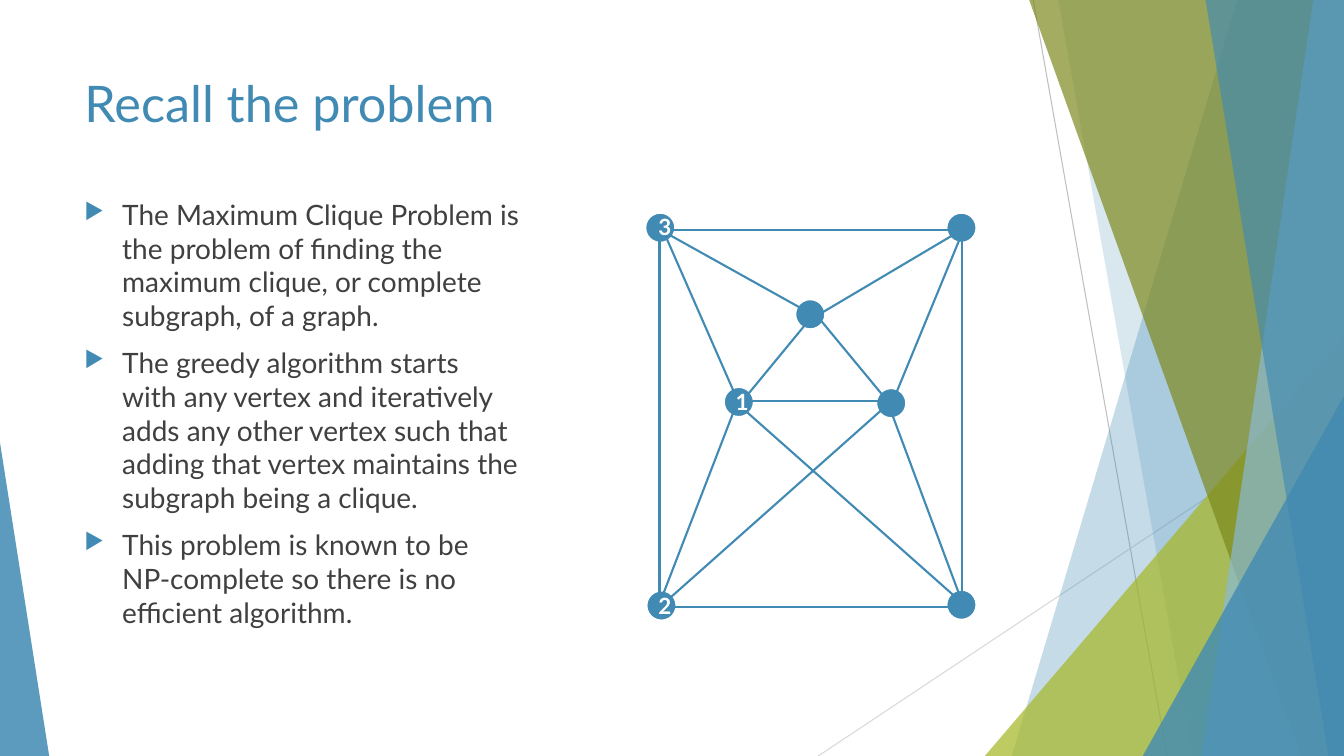
from dataclasses import dataclass

from lxml import etree
from pptx import Presentation
from pptx import util as u
from pptx.dml.color import RGBColor
from pptx.enum import shapes, text
from pptx.oxml import ns

Cm, Pt = u.Cm, u.Pt
COLORS = {
    "blue": "418AB3", "pale_blue": "8ABAD4", "lime": "A6B727", "olive": "7D891D",
    "white": "FFFFFF", "label": "FEFEFE", "body": "404040",
    "dark_rule": "BFBFBF", "light_rule": "D9D9D9",
}


@dataclass
class Box:
    left: float
    top: float
    width: float
    height: float

    def point(self, x, y):
        return Cm(self.left + x), Cm(self.top + y)


def rgb(name):
    return RGBColor.from_string(COLORS[name])


def apply_format(target, values):
    for name, value in values.items():
        setattr(target, name, value)


def add_xml(parent, tag, position=None, **attributes):
    element = etree.Element(ns.qn(tag), attributes)
    parent.insert(len(parent) if position is None else position, element)
    return element


def add_line(slide, box, start, end, color, width):
    line = slide.shapes.add_connector(
        shapes.MSO_CONNECTOR.STRAIGHT, *box.point(*start), *box.point(*end))
    line.line.color.rgb = rgb(color)
    line.line.width = Pt(width)
    add_xml(line._element.spPr, "a:effectLst")


def fill_shape(shape, color, opacity=100):
    shape.shadow.inherit = False
    shape.fill.solid()
    shape.fill.fore_color.rgb = rgb(color)
    shape.line.fill.background()
    if opacity < 100:
        color_element = shape._element.spPr.find(".//" + ns.qn("a:srgbClr"))
        add_xml(color_element, "a:alpha", val=str(opacity * 1000))


def add_text_box(slide, box, paragraphs, font_format, paragraph_format):
    shape = slide.shapes.add_textbox(
        *box.point(0, 0), Cm(box.width), Cm(box.height))
    frame = shape.text_frame
    frame.word_wrap = True
    frame.text = "\n".join(paragraphs)
    color = font_format.pop("color")
    for paragraph in frame.paragraphs:
        apply_format(paragraph, paragraph_format)
        for run in paragraph.runs:
            apply_format(run.font, {"name": "Lato", **font_format})
            run.font.color.rgb = rgb(color)
    return frame


# Faceted background
def add_facets(slide, box):
    add_line(slide, box, (26.04, 0), (29.41, box.height), "dark_rule", 0.75)
    add_line(slide, box, (box.width, 10.24), (20.62, box.height), "light_rule", 0.75)

    def band(top_x, bottom_x, color, opacity):
        # Slanted left side, closed by the right edge of the box
        builder = slide.shapes.build_freeform(*box.point(top_x, -0.02), scale=1.0)
        builder.add_line_segments([
            box.point(box.width, -0.02), box.point(box.width, box.height),
            box.point(bottom_x, box.height)], close=True)
        fill_shape(builder.convert_to_shape(), color, opacity)

    def corner(left, top, width, peak, color, opacity):
        shape = slide.shapes.add_shape(
            shapes.MSO_SHAPE.ISOSCELES_TRIANGLE, *box.point(left, top),
            Cm(width), Cm(box.height - top))
        shape.adjustments[0] = peak
        fill_shape(shape, color, opacity)

    band(31.19, 25.5, "blue", 30)
    band(26.67, 30.05, "blue", 20)
    corner(24.82, 8.46, box.width - 24.82, 1, "lime", 72)
    band(25.93, 32.79, "olive", 70)
    band(33.1, 30.28, "pale_blue", 70)
    band(30.38, 33.48, "blue", 65)
    corner(28.8, 9.98, box.width - 28.8, 1, "blue", 80)
    corner(0, 11.15, 1.24, 0, "blue", 85)


# Title
def add_title(slide, box):
    add_text_box(slide, box, ["Recall the problem"],
                 {"size": Pt(36), "color": "blue"}, {})


# Bulleted explanation
def add_bullets(slide, box):
    frame = add_text_box(slide, box, [
        "The Maximum Clique Problem is the problem of finding the maximum "
        "clique, or complete subgraph, of a graph.",
        "The greedy algorithm starts with\u00a0any vertex and iteratively adds any "
        "other vertex such that adding that vertex maintains the subgraph "
        "being a clique.",
        "This problem is known to be NP-complete so there is no efficient "
        "algorithm.",
    ], {"size": Pt(20), "color": "body"}, {"space_before": Pt(10)})
    for paragraph in frame.paragraphs:
        properties = paragraph._p.get_or_add_pPr()
        properties.set("marL", str(Cm(0.95)))
        properties.set("indent", str(-Cm(0.95)))
        bullet_color = add_xml(properties, "a:buClr")
        add_xml(bullet_color, "a:srgbClr", val=COLORS["blue"])
        add_xml(properties, "a:buSzPct", val="80000")
        add_xml(properties, "a:buChar", char="\u25b6")


# Graph with numbered vertices
def add_graph(slide, box):
    vertices = [(7.59, 9.53), (0.03, 9.55), (1.98, 4.42), (5.82, 4.45),
                (7.59, 0.03), (3.78, 2.21), (0, 0.03)]
    edges = [
        ((0.38, 0.46), (4.06, 2.51)), ((4.42, 2.57), (7.98, 0.46)),
        ((0.36, 0.46), (8.13, 0.46)), ((0.2, 9.96), (7.98, 9.96)),
        ((2.31, 4.83), (0.38, 9.83)), ((8, 9.88), (6.1, 4.78)),
        ((0.36, 0.41), (0.36, 10.16)), ((7.98, 0.33), (7.98, 10.08)),
        ((0.51, 0.61), (2.36, 4.83)), ((2.31, 4.83), (7.95, 9.83)),
        ((6.07, 4.9), (0.43, 9.91)), ((4.29, 2.54), (2.24, 5.03)),
        ((4.19, 2.46), (6.25, 4.95)), ((8, 0.51), (6.22, 4.83)),
        ((2.18, 4.78), (6.25, 4.78)),
    ]
    labels = {"1": (2.03, 4.32), "2": (0.08, 9.47), "3": (0.08, -0.08)}

    for corner in vertices:
        vertex = slide.shapes.add_shape(
            shapes.MSO_SHAPE.OVAL, *box.point(*corner), Cm(0.76), Cm(0.76))
        fill_shape(vertex, "blue")
        vertex.line.color.rgb = rgb("white")
        vertex.line.width = Pt(1.5)
    for start, end in edges:
        add_line(slide, box, start, end, "blue", 1.5)
    for label, (x, y) in labels.items():
        frame = add_text_box(
            slide, Box(box.left + x, box.top + y, 0.64, 0.94), [label],
            {"size": Pt(16), "bold": True, "color": "label"},
            {"alignment": text.PP_ALIGN.CENTER})
        frame.auto_size = text.MSO_AUTO_SIZE.SHAPE_TO_FIT_TEXT
        properties = frame.paragraphs[0].runs[0].font._element
        properties.set("spc", "50")
        outline = add_xml(properties, "a:ln", 0, w=str(Pt(0.75)))
        add_xml(add_xml(outline, "a:solidFill"), "a:srgbClr", val=COLORS["blue"])


presentation = Presentation()
page = Box(0, 0, 33.87, 19.05)
presentation.slide_width, presentation.slide_height = Cm(page.width), Cm(page.height)
slide = presentation.slides.add_slide(presentation.slide_layouts[6])

add_facets(slide, page)
add_title(slide, Box(1.88, 1.7, 23.88, 3.66))
add_bullets(slide, Box(1.88, 4.85, 11.48, 12.88))
add_graph(slide, Box(16.26, 5.33, 8.36, 10.29))

presentation.save("out.pptx")
